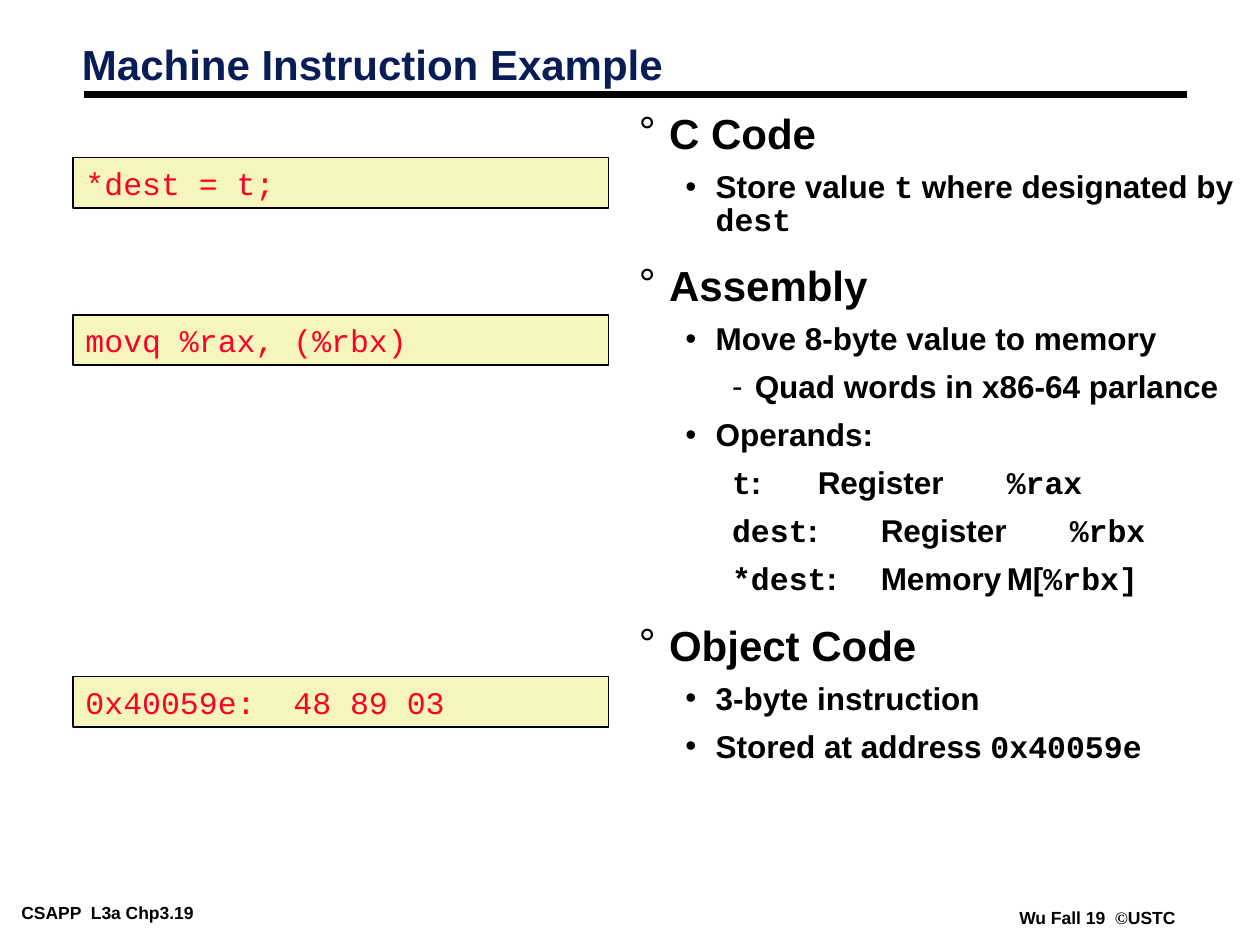
"""Build the slide on machine instructions: C code, assembly and object code."""
from lxml import etree
from pptx import Presentation
from pptx.dml.color import RGBColor
from pptx.enum.shapes import MSO_CONNECTOR, MSO_SHAPE
from pptx.enum.text import MSO_ANCHOR, MSO_AUTO_SIZE, PP_ALIGN
from pptx.oxml.ns import qn
from pptx.util import Inches, Pt

LEFT = PP_ALIGN.LEFT
TOP = MSO_ANCHOR.TOP
NO_FIT = MSO_AUTO_SIZE.NONE
RECTANGLE = MSO_SHAPE.RECTANGLE
STRAIGHT = MSO_CONNECTOR.STRAIGHT

BLACK = RGBColor(0x00, 0x00, 0x00)
NAVY = RGBColor(0x08, 0x1D, 0x58)
RED = RGBColor(0xFC, 0x01, 0x28)
CREAM = RGBColor(0xF6, 0xF5, 0xBD)

SANS = "Arial"
MONO = "Courier New"
SERIF = "Times New Roman"

# level, margin, hanging, line spacing, space before, size, bullet
HEADING = (0, 0.24, 0.24, 0.75, 19.5, 24, "°")
POINT = (1, 0.61, 0.24, 0.85, 9, 18, "•")
DETAIL = (2, 0.92, 0.18, 0.85, 9, 18, "-")
OPERAND = (2, 0.92, 0.18, 0.85, 9, 18, None)
OPERAND_TABS = (0, 1.75, 2.75, 2.94, 3.92, 4.9, 5.88, 6.85)

OUTLINE = [
    (HEADING, [("C Code", SANS)]),
    (POINT, [("Store value ", SANS), ("t", MONO),
             (" where designated by ", SANS), ("dest", MONO)]),
    (HEADING, [("Assembly", SANS)]),
    (POINT, [("Move 8-byte value to memory", SANS)]),
    (DETAIL, [("Quad words in x86-64 parlance", SANS)]),
    (POINT, [("Operands:", SANS)]),
    (OPERAND, [("t", MONO), (":\tRegister\t", SANS), ("%rax", MONO)]),
    (OPERAND, [("dest", MONO), (":\tRegister\t", SANS), ("%rbx", MONO)]),
    (OPERAND, [("*dest", MONO), (": \tMemory\tM[", SANS), ("%rbx]", MONO)]),
    (HEADING, [("Object Code", SANS)]),
    (POINT, [("3-byte instruction", SANS)]),
    (POINT, [("Stored at address ", SANS), ("0x40059e", MONO)]),
]
CODE_LINES = [
    (1.25, "*dest = t;"),
    (2.5, "movq %rax, (%rbx)"),
    (5.37, "0x40059e:  48 89 03"),
]
FOOTERS = [
    (0.1, 7.13, 2.02, [("CSAPP  L3a Chp3.19", SANS)]),
    (8.02, 7.17, 1.38, [("Wu Fall 19  ", SANS), ("©", SERIF), ("USTC", SANS)]),
]


def place(shape, left, top, width, height):
    shape.left, shape.top = Inches(left), Inches(top)
    shape.width, shape.height = Inches(width), Inches(height)


def set_frame(frame, side, edge, wrap=True):
    frame.margin_left = frame.margin_right = Inches(side)
    frame.margin_top = frame.margin_bottom = Inches(edge)
    frame.word_wrap = wrap
    frame.auto_size = NO_FIT
    frame.vertical_anchor = TOP


def add_runs(paragraph, runs, size, color, bold=True):
    paragraph.alignment = LEFT
    for text, font_name in runs:
        run = paragraph.add_run()
        run.text = text
        run.font.name = font_name
        run.font.size = Pt(size)
        run.font.bold = bold
        run.font.color.rgb = color


def set_bullet(paragraph, bullet):
    properties = paragraph._p.get_or_add_pPr()
    if bullet is None:
        etree.SubElement(properties, qn("a:buNone"))
        return
    bullet_color = etree.SubElement(properties, qn("a:buClr"))
    etree.SubElement(bullet_color, qn("a:srgbClr"), val=str(BLACK))
    etree.SubElement(properties, qn("a:buFont"), typeface=SANS)
    etree.SubElement(properties, qn("a:buChar"), char=bullet)


def set_tabs(paragraph, stops):
    tab_list = etree.SubElement(paragraph._p.get_or_add_pPr(), qn("a:tabLst"))
    for stop in stops:
        etree.SubElement(tab_list, qn("a:tab"), pos=str(Inches(stop)), algn="l")


def add_footer(slide, left, top, width, runs):
    footer = slide.shapes.add_textbox(
        Inches(left), Inches(top), Inches(width), Inches(0.22))
    set_frame(footer.text_frame, 0.07, 0.03, wrap=False)
    add_runs(footer.text_frame.paragraphs[0], runs, 10, BLACK)


def add_title_rule(slide):
    rule = slide.shapes.add_connector(
        STRAIGHT, Inches(0.67), Inches(0.75), Inches(9.42), Inches(0.75))
    rule.line.color.rgb = BLACK
    rule.line.width = Pt(4.5)
    etree.SubElement(rule._element.spPr, qn("a:effectLst"))


def fill_title(title):
    place(title, 0.58, 0.33, 7.94, 0.63)
    set_frame(title.text_frame, 0.07, 0.03)
    heading = title.text_frame.paragraphs[0]
    heading.line_spacing = 0.87
    add_runs(heading, [("Machine Instruction Example", SANS)], 24, NAVY)


def fill_outline(body):
    place(body, 5, 0.92, 5, 6.33)
    frame = body.text_frame
    set_frame(frame, 0.07, 0.03)
    for index, (style, runs) in enumerate(OUTLINE):
        level, margin, hanging, spacing, before, size, bullet = style
        paragraph = frame.add_paragraph() if index else frame.paragraphs[0]
        paragraph.level = level
        properties = paragraph._p.get_or_add_pPr()
        properties.set("marL", str(Inches(margin)))
        properties.set("indent", str(-Inches(hanging)))
        set_bullet(paragraph, bullet)
        if style is OPERAND:
            set_tabs(paragraph, OPERAND_TABS)
        paragraph.line_spacing = spacing
        paragraph.space_before = Pt(before if index else 0)
        add_runs(paragraph, runs, size, BLACK)


def add_code_box(slide, top, code):
    box = slide.shapes.add_shape(
        RECTANGLE, Inches(0.58), Inches(top), Inches(4.25), Inches(0.4))
    box.shadow.inherit = False
    box.fill.solid()
    box.fill.fore_color.rgb = CREAM
    box.line.color.rgb = BLACK
    box.line.width = Pt(1)
    set_frame(box.text_frame, 0.1, 0.05)
    add_runs(box.text_frame.paragraphs[0], [(code, MONO)], 18, RED, bold=False)


def main():
    deck = Presentation()
    deck.slide_width, deck.slide_height = Inches(10), Inches(7.5)
    slide = deck.slides.add_slide(deck.slide_layouts[1])
    for left, top, width, runs in FOOTERS:
        add_footer(slide, left, top, width, runs)
    add_title_rule(slide)
    fill_title(slide.shapes.title)
    fill_outline(slide.placeholders[1])
    for top, code in CODE_LINES:
        add_code_box(slide, top, code)
    deck.save("out.pptx")


if __name__ == "__main__":
    main()
